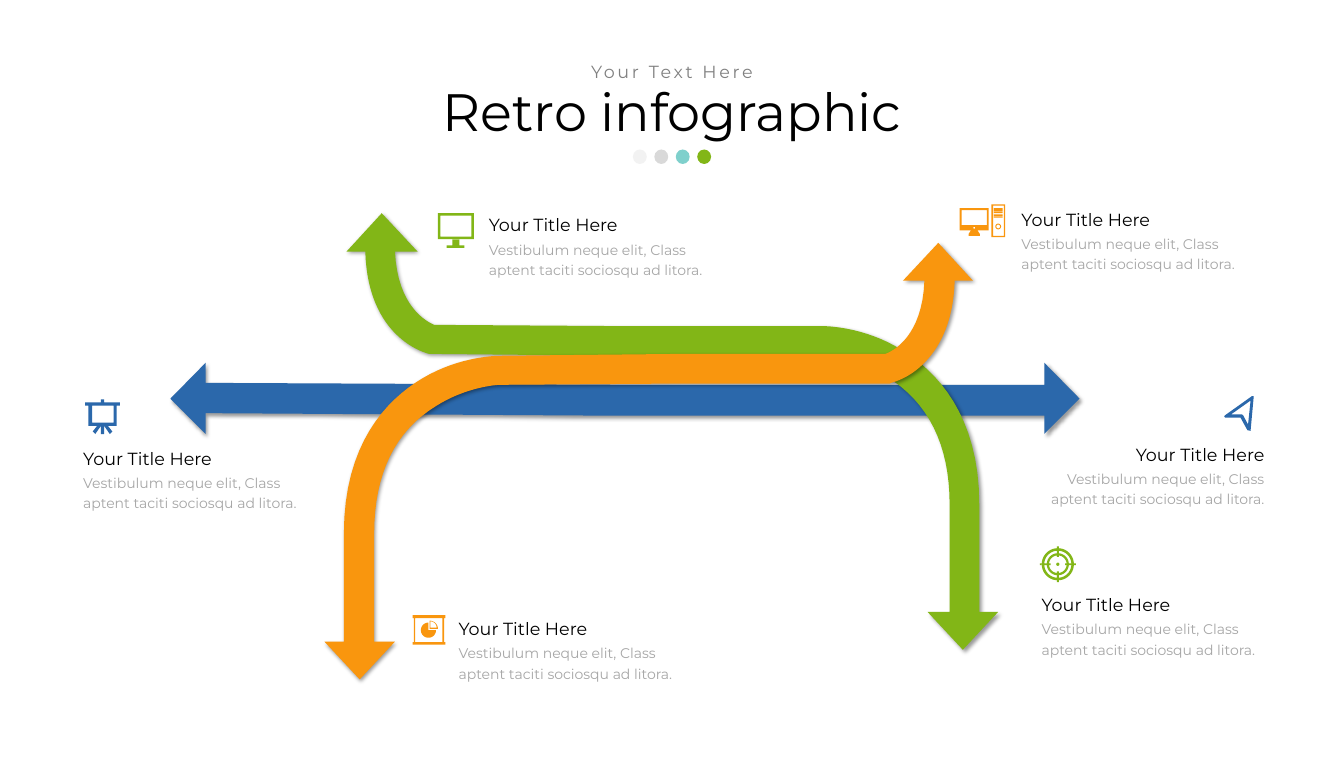
"""Build the retro infographic slide: three crossing arrows with six labels."""
import math

from lxml import etree
from pptx import Presentation, util as u
from pptx.dml.color import RGBColor
from pptx.enum import shapes, text
from pptx.oxml.ns import qn

PX = u.Inches(1) // 100
FONT = "Montserrat"
BLUE = RGBColor(0x2B, 0x68, 0xAB)
GREEN = RGBColor(0x82, 0xB6, 0x17)
ORANGE = RGBColor(0xF9, 0x96, 0x0E)
TEAL = RGBColor(0x00, 0xA3, 0x9B)
PALE = RGBColor(0xF2, 0xF2, 0xF2)
SILVER = RGBColor(0xD9, 0xD9, 0xD9)
BLACK = RGBColor(0, 0, 0)
GRAY = RGBColor(0x80, 0x80, 0x80)
LIGHT_GRAY = RGBColor(0xA6, 0xA6, 0xA6)
LEFT, CENTER, RIGHT = text.PP_ALIGN.LEFT, text.PP_ALIGN.CENTER, text.PP_ALIGN.RIGHT

HEADING = "Retro infographic"
SUBHEADING = "Your Text Here"
LABEL_TITLE = "Your Title Here"
LABEL_DETAIL = "Vestibulum neque elit, Class aptent taciti sociosqu ad litora."
LABELS = [(765, 328, LEFT), (717, 968, LEFT), (122, 698, LEFT),
          (1609, 319, LEFT), (1641, 930, LEFT), (1641, 692, RIGHT)]
DOTS = [(PALE, 100), (SILVER, 98), (TEAL, 50), (GREEN, 100)]

# Each step holds two numbers for a line or six for a cubic curve.
ARROWS = [
    (BLUE, [(1006, 610), (970, 610), (326, 607), (326, 575), (270, 632), (326, 688),
            (326, 655), (970, 659), (1655, 659), (1655, 688), (1711, 632),
            (1655, 575), (1655, 610)]),
    (GREEN, [(605, 338), (549, 399), (579, 399), (581, 469, 606, 508, 627, 529),
             (652, 554, 677, 560, 680, 561), (682, 561), (986, 564), (1302, 564),
             (1307, 564, 1358, 567, 1405, 597), (1471, 637, 1505, 705, 1505, 799),
             (1505, 970), (1470, 970), (1526, 1030), (1582, 970), (1552, 970),
             (1552, 799), (1552, 658, 1484, 588, 1428, 554),
             (1368, 517, 1307, 517, 1304, 517), (986, 517), (688, 515),
             (677, 510, 630, 487, 626, 399), (662, 399)]),
    (ORANGE, [(570, 1077), (514, 1017), (545, 1017), (545, 846),
              (545, 704, 612, 634, 669, 600), (729, 564, 790, 564, 792, 564),
              (1079, 561), (1403, 561), (1415, 557, 1462, 533, 1465, 445),
              (1431, 445), (1487, 385), (1542, 445), (1513, 445),
              (1511, 515, 1486, 554, 1465, 575), (1441, 600, 1415, 606, 1412, 607),
              (1410, 608), (1079, 608), (793, 610), (788, 610, 740, 613, 692, 643),
              (626, 683, 593, 751, 593, 846), (593, 1017), (626, 1017)]),
]


def rect(left, top, right, bottom):
    return [(left, top), (right, top), (right, bottom), (left, bottom)]


def arc(cx, cy, radius, start=0, sweep=360):
    angles = [math.radians(start + sweep * i / 40) for i in range(41)]
    return [(cx + radius * math.cos(a), cy + radius * math.sin(a)) for a in angles]


def sector(cx, cy, radius, start, sweep):
    return [(cx, cy)] + arc(cx, cy, radius, start, sweep)


def target(cx, cy):
    contours = [arc(cx, cy, radius) for radius in (25.5, 21.5, 17.5, 14, 2.5)]
    for near, far in ((25, 28.5), (17.5, 21.5), (11.5, 14)):
        for sign in (-1, 1):
            low, high = sorted((sign * near, sign * far))
            contours.append(rect(cx + low, cy - 1.5, cx + high, cy + 1.5))
            contours.append(rect(cx - 1.5, cy + low, cx + 1.5, cy + high))
    return contours


MONITOR = [rect(694, 338, 751, 379), rect(698, 342, 747, 375),
           [(717, 380), (728, 380), (728, 389), (736, 389), (736, 393), (708, 393),
            (708, 389), (717, 389)]]
CHART_BOARD = [rect(654, 975, 706, 980), rect(654, 1018, 706, 1022),
               rect(656, 980, 658, 1018), rect(701, 980, 704, 1018),
               sector(679, 999, 12, 0, 270), sector(681, 997, 13, 270, 90),
               sector(682, 995, 10, 270, 90)]
COMPUTER = [rect(1521, 330, 1567, 365), rect(1524, 333, 1564, 357), arc(1544, 361, 1.5),
            [(1539, 365), (1549, 365), (1553, 371), (1553, 374), (1535, 374), (1535, 371)],
            rect(1571, 324, 1593, 376), rect(1574, 326, 1591, 374),
            arc(1582, 359, 4.5), arc(1582, 359, 3)]
COMPUTER += [rect(1575, top, 1589, bottom)
             for top, bottom in ((330, 335), (336, 338), (340, 342), (343, 345))]
EASEL = [rect(140, 643, 185, 675), rect(146, 643, 180, 670), rect(135, 638, 190, 643),
         rect(160, 633, 165, 638), rect(160, 675, 165, 688),
         [(154, 675), (160, 675), (151, 688), (147, 684)],
         [(171, 675), (165, 675), (174, 688), (178, 684)]]
PAPER_PLANE = [[(1940, 660), (1942, 658), (1984, 628), (1987, 628), (1982, 683),
                (1977, 682), (1966, 662), (1942, 662)],
               [(1951, 657), (1968, 657), (1970, 658), (1978, 673), (1982, 635)]]
ICONS = [(GREEN, MONITOR), (ORANGE, CHART_BOARD), (ORANGE, COMPUTER),
         (BLUE, EASEL), (GREEN, target(1676.5, 894.5)), (BLUE, PAPER_PLANE)]


def trace(steps, pieces=16):
    points = []
    for step in steps:
        if len(step) == 2:
            points.append(step)
            continue
        x0, y0 = points[-1]
        x1, y1, x2, y2, x3, y3 = step
        for i in range(1, pieces + 1):
            t = i / pieces
            a, b, c, d = (1 - t) ** 3, 3 * t * (1 - t) ** 2, 3 * t * t * (1 - t), t ** 3
            points.append((a * x0 + b * x1 + c * x2 + d * x3,
                           a * y0 + b * y1 + c * y2 + d * y3))
    return points


def paint(shape, color):
    shape.shadow.inherit = False
    shape.fill.solid()
    shape.fill.fore_color.rgb = color
    shape.line.fill.background()


def add_alpha(color_element, percent):
    etree.SubElement(color_element, qn("a:alpha"), val=str(percent * 1000))


def add_outline(slide, contours, color):
    scaled = [[(x * PX, y * PX) for x, y in contour] for contour in contours]
    builder = slide.shapes.build_freeform(*scaled[0][0])
    builder.add_line_segments(scaled[0][1:])
    for contour in scaled[1:]:
        builder.move_to(*contour[0])
        builder.add_line_segments(contour[1:])
    outline = builder.convert_to_shape()
    paint(outline, color)
    return outline


def add_shadow(shape):
    effects = shape._element.spPr.find(qn("a:effectLst"))
    shadow = etree.SubElement(effects, qn("a:outerShdw"), blurRad=str(u.Pt(4)),
                              dist=str(u.Pt(3)), dir="2700000", algn="tl", rotWithShape="0")
    add_alpha(etree.SubElement(shadow, qn("a:srgbClr"), val="000000"), 40)


def write(box, place, words, size, color, align, spacing):
    box.left, box.top, box.width, box.height = (n * PX for n in place)
    frame = box.text_frame
    frame.word_wrap = True
    frame.auto_size = text.MSO_AUTO_SIZE.NONE
    frame.vertical_anchor = text.MSO_ANCHOR.TOP
    frame.text = words
    paragraph = frame.paragraphs[0]
    paragraph.alignment, paragraph.line_spacing = align, spacing
    font = paragraph.font
    font.name, font.size, font.color.rgb = FONT, u.Pt(size), color
    return paragraph


def main():
    prs = Presentation()
    prs.slide_width, prs.slide_height = 2130 * PX, 1200 * PX
    slide = prs.slides.add_slide(prs.slide_layouts[5])

    def add_text(*details):
        return write(slide.shapes.add_textbox(0, 0, 0, 0), *details)

    write(slide.shapes.title, (102, 131, 1926, 103), HEADING, 60, BLACK, CENTER, 0.9)
    subheading = add_text((748, 95, 634, 35), SUBHEADING, 20, GRAY, CENTER, 0.9)
    subheading.runs[0]._r.get_or_add_rPr().set("spc", "300")

    for color, steps in ARROWS:
        add_shadow(add_outline(slide, [trace(steps)], color))
    for i, (color, opacity) in enumerate(DOTS):
        dot = slide.shapes.add_shape(shapes.MSO_SHAPE.OVAL, (1003 + 34 * i) * PX,
                                     237 * PX, 22 * PX, 23 * PX)
        paint(dot, color)
        if opacity < 100:
            add_alpha(dot._element.spPr.find(".//" + qn("a:srgbClr")), opacity)
    for left, top, align in LABELS:
        indent = 7 if align == RIGHT else 0
        add_text((left, top, 373, 50), LABEL_TITLE, 20, BLACK, align, 1.2)
        add_text((left + indent, top + 44, 366, 75), LABEL_DETAIL, 16, LIGHT_GRAY, align, 1.2)
    for color, contours in ICONS:
        add_outline(slide, contours, color)
    prs.save("out.pptx")


if __name__ == "__main__":
    main()
